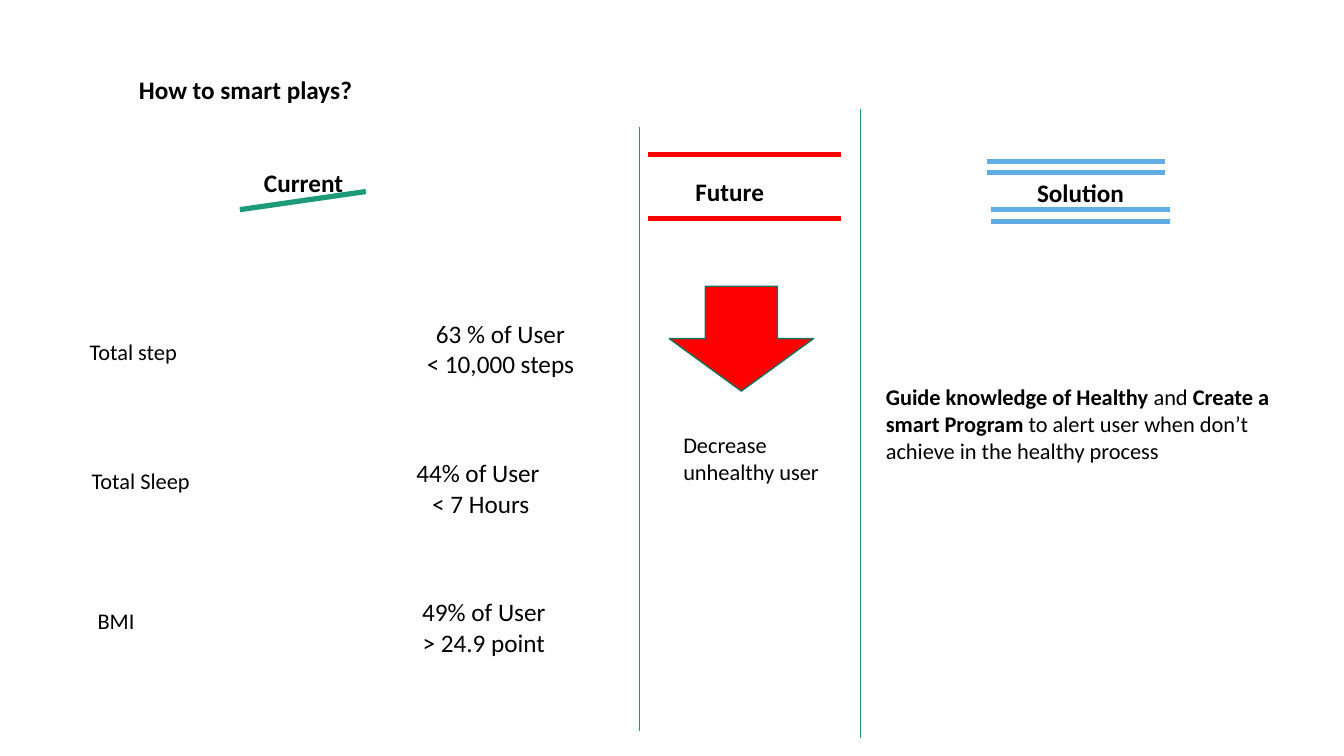
import pptx
import pptx.dml.color
import pptx.enum.shapes
import pptx.enum.text
import pptx.oxml
import pptx.oxml.ns
import pptx.util

COLOURS = {"text": "000000", "green": "1D9A78", "dark green": "157259",
           "red": "FF0000", "blue": "5FADE4"}
FONT = "Calibri"
WIDTH, HEIGHT = pptx.util.Inches(13.33), pptx.util.Inches(7.5)
COLUMNS, ROWS = 40, 30
HEADING_HEIGHT = 1.6
LABEL_HEIGHT = 1.48
VALUE_HEIGHT = 2.84
METRIC_TOP, METRIC_STEP = 12.44, 5.52

# label, its left, width and drop below the value's top; value lines, left, width
METRICS = [
    ("Total step", 2.37, 5.25, 0.8, ["63 % of User", "< 10,000 steps"], 11.43, 6.93),
    ("Total Sleep", 2.43, 6.6, 0.4, ["44% of User ", "< 7 Hours"], 11.58, 5.46),
    ("BMI", 2.61, 5.76, 0.4, ["49% of User", "> 24.9 point"], 11.52, 5.76),
]


def across(columns):
    return round(WIDTH * columns / COLUMNS)


def down(rows):
    return round(HEIGHT * rows / ROWS)


def colour(name):
    return pptx.dml.color.RGBColor.from_string(COLOURS[name])


def add_text(shapes, left, top, width, height, lines, size=16, bold=False,
             centred=False):
    """Each line is a list of (text, bold) spans or one plain string."""
    box = shapes.add_textbox(across(left), down(top), across(width), down(height))
    frame = box.text_frame
    frame.word_wrap = True
    for index, line in enumerate(lines):
        para = frame.paragraphs[0] if index == 0 else frame.add_paragraph()
        if centred:
            para.alignment = pptx.enum.text.PP_ALIGN.CENTER
        para.font.name = FONT
        para.font.size = pptx.util.Pt(size)
        para.font.color.rgb = colour("text")
        if isinstance(line, str):
            para.font.bold = bold
            para.text = line
            continue
        for text, strong in line:
            span = para.add_run()
            span.text = text
            span.font.bold = strong


def add_line(shapes, start, end, colour_name, weight):
    line = shapes.add_connector(pptx.enum.shapes.MSO_CONNECTOR.STRAIGHT,
                                across(start[0]), down(start[1]),
                                across(end[0]), down(end[1]))
    line.line.color.rgb = colour(colour_name)
    line.line.width = pptx.util.Pt(weight)
    properties = line._element.find(pptx.oxml.ns.qn("p:spPr"))
    properties.append(pptx.oxml.parse_xml(
        "<a:effectLst %s/>" % pptx.oxml.ns.nsdecls("a")))


def add_heading(page, text, left, top, width, strokes, colour_name):
    """A bold column heading grouped with its thick strokes."""
    group = page.shapes.add_group_shape()
    add_text(group.shapes, left, top, width, HEADING_HEIGHT, [text], 18, True)
    for start, end in strokes:
        add_line(group.shapes, start, end, colour_name, 3.75)


def level(left, right, rows):
    return [((left, row), (right, row)) for row in rows]


def add_metric(page, index, metric):
    label, label_left, label_width, drop, lines, left, width = metric
    top = METRIC_TOP + index * METRIC_STEP
    add_text(page.shapes, label_left, top + drop, label_width, LABEL_HEIGHT, [label])
    add_text(page.shapes, left, top, width, VALUE_HEIGHT, lines, 18, centred=True)


def add_down_arrow(page, left, top, width, height):
    arrow = page.shapes.add_shape(pptx.enum.shapes.MSO_SHAPE.DOWN_ARROW,
                                  across(left), down(top), across(width), down(height))
    arrow.shadow.inherit = False
    arrow.fill.solid()
    arrow.fill.fore_color.rgb = colour("red")
    arrow.line.color.rgb = colour("dark green")
    arrow.line.width = pptx.util.Pt(1)


def main():
    deck = pptx.Presentation()
    deck.slide_width, deck.slide_height = WIDTH, HEIGHT
    page = deck.slides.add_slide(deck.slide_layouts[6])

    # Title and column dividers
    add_text(page.shapes, 3.84, 2.76, 14.07, HEADING_HEIGHT,
             ["How to smart plays?"], 18, True)
    for column, top, bottom in [(19.02, 5.04, 29), (25.62, 4.32, 29.28)]:
        add_line(page.shapes, (column, top), (column, bottom), "green", 0.5)

    # Column headings
    add_heading(page, "Current", 7.56, 6.44, 4.89,
                [((7.14, 8.32), (10.89, 7.6))], "green")
    add_heading(page, "Future", 20.4, 6.8, 5.85,
                level(19.29, 25.02, [6.12, 8.68]), "red")
    add_heading(page, "Solution", 30.57, 6.84, 5.52,
                level(29.37, 34.68, [6.4, 6.84]) + level(29.49, 34.83, [8.32, 8.8]),
                "blue")

    # Current: one row per metric
    for index, metric in enumerate(METRICS):
        add_metric(page, index, metric)

    # Future
    add_down_arrow(page, 19.92, 11.36, 4.29, 4.16)
    add_text(page.shapes, 20.04, 16.92, 5.61, 2.56, ["Decrease unhealthy user"])

    # Solution
    add_text(page.shapes, 26.07, 15, 12.84, 3.64, [[
        ("Guide knowledge of Healthy ", True), ("and ", False),
        ("Create a smart Program ", True),
        ("to alert user when don’t achieve in the healthy process", False)]])

    deck.save("out.pptx")


if __name__ == "__main__":
    main()
